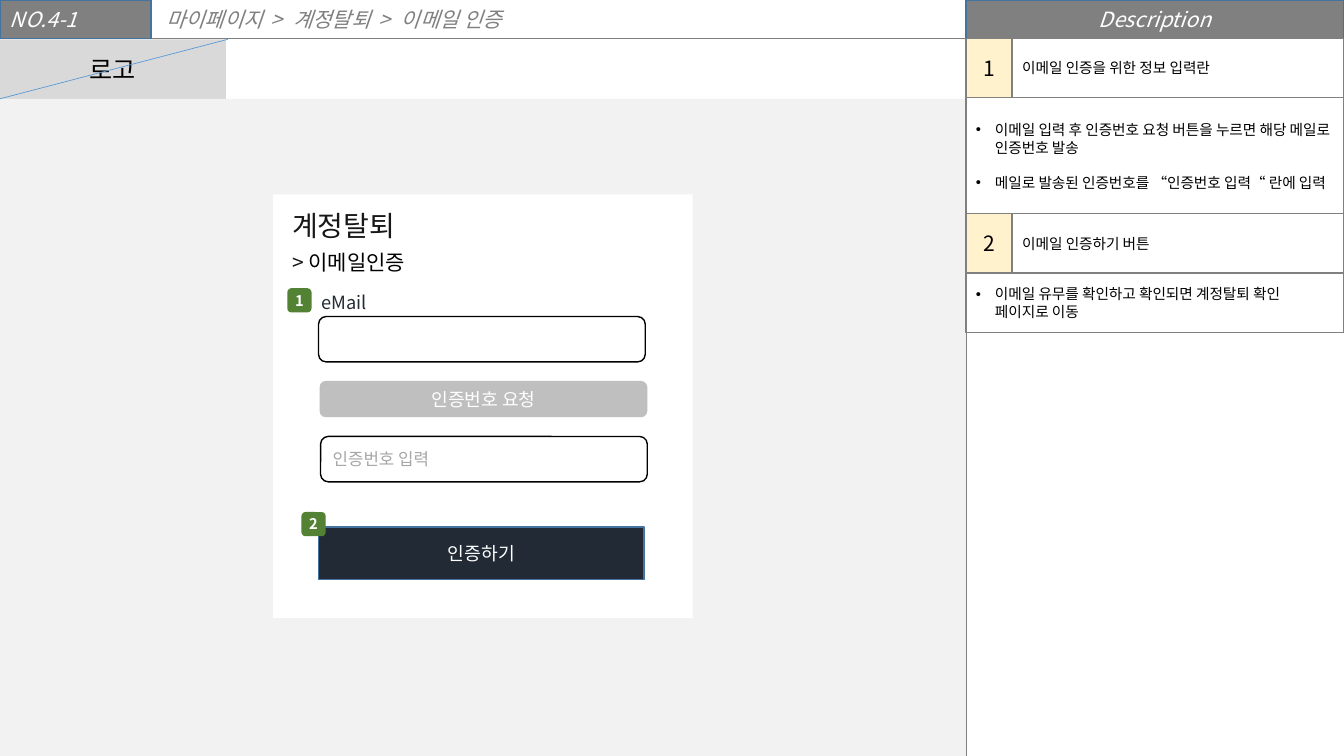
"""Build the wireframe slide for e-mail verification during account withdrawal."""
from lxml import etree
from pptx import Presentation
from pptx.dml.color import RGBColor
from pptx.enum.shapes import MSO_CONNECTOR, MSO_SHAPE
from pptx.enum.text import MSO_ANCHOR, MSO_AUTO_SIZE, PP_ALIGN
from pptx.oxml.ns import qn
from pptx.util import Inches, Pt

RECT, ROUND = MSO_SHAPE.RECTANGLE, MSO_SHAPE.ROUNDED_RECTANGLE
STRAIGHT = MSO_CONNECTOR.STRAIGHT
LEFT, CENTER = PP_ALIGN.LEFT, PP_ALIGN.CENTER
TOP, MIDDLE = MSO_ANCHOR.TOP, MSO_ANCHOR.MIDDLE
GROW = MSO_AUTO_SIZE.SHAPE_TO_FIT_TEXT
FONT = "Noto Sans CJK KR"
COLORS = {
    "white": "FFFFFF", "black": "000000", "ink": "181717", "navy": "222A35",
    "gray": "808080", "button": "BFBFBF", "hint": "A6A6A6", "logo": "D9D9D9",
    "canvas": "F2F2F2", "cream": "FFF2CC", "green": "548235",
    "edge": "43739E", "blue": "5B9BD5",
}
WIDTH, HEIGHT = 13.33, 7.5
BAR = 0.38
SIDE = 9.58
ROW = 0.59
NUMBER_WIDTH = 0.46

deck = Presentation()
deck.slide_width, deck.slide_height = Inches(WIDTH), Inches(HEIGHT)
page = deck.slides.add_slide(deck.slide_layouts[6])


def draw(kind, area, fill=None, line=None):
    """Add a shape, or a text box when kind is None."""
    place = [Inches(value) for value in area]
    if kind is None:
        return page.shapes.add_textbox(*place)
    shape = page.shapes.add_shape(kind, *place)
    shape.shadow.inherit = False
    if fill:
        shape.fill.solid()
        shape.fill.fore_color.rgb = RGBColor.from_string(COLORS[fill])
    else:
        shape.fill.background()
    if line:
        shape.line.color.rgb = RGBColor.from_string(COLORS[line])
        shape.line.width = Pt(1)
    else:
        shape.line.fill.background()
    return shape


def write(shape, paragraphs, align=LEFT, anchor=MIDDLE, wrap=True, **formats):
    """Fill a shape with paragraphs, each a list of (text, size, color) spans."""
    frame = shape.text_frame
    frame.word_wrap, frame.vertical_anchor = wrap, anchor
    for index, spans in enumerate(paragraphs):
        para = frame.paragraphs[0] if index == 0 else frame.add_paragraph()
        para.alignment = align
        for text, size, color in spans:
            span = para.add_run()
            span.text = text
            span.font.color.rgb = RGBColor.from_string(COLORS[color])
            for name, value in {"name": FONT, "size": Pt(size), **formats}.items():
                setattr(span.font, name, value)
            east = etree.SubElement(span.font._element, qn("a:ea"))
            east.set("typeface", FONT)
    return frame


for start_x, start_y, end_x, end_y, color in [
    (0, BAR, WIDTH, BAR, "gray"),
    (SIDE, 0, SIDE, HEIGHT, "gray"),
    (0, 0.98, 2.26, 0.39, "blue"),
]:
    if color == "blue":
        draw(RECT, (0, 0.39, SIDE, ROW), "white")
        logo = draw(RECT, (0, 0.39, 2.24, ROW), "logo")
        write(logo, [[("로고", 18, "black")]], CENTER)
        draw(RECT, (0, 0.98, SIDE, 6.52), "canvas")
    rule = page.shapes.add_connector(
        STRAIGHT, Inches(start_x), Inches(start_y), Inches(end_x), Inches(end_y))
    rule.line.color.rgb = RGBColor.from_string(COLORS[color])
    rule.line.width = Pt(0.5)
    etree.SubElement(rule._element.spPr, qn("a:effectLst"))

for area, text, align in [
    ((0, 0, 1.5, BAR), "NO.4-1", LEFT),
    ((SIDE, 0, WIDTH - SIDE, BAR), "Description", CENTER),
]:
    header = draw(RECT, area, "gray", "edge")
    write(header, [[(text, 15, "white")]], align, italic=True)

trail = draw(None, (1.55, 0.02, 4.1, 0.35))
steps = ["마이페이지", " > ", "계정탈퇴", " > ", "이메일 인증"]
frame = write(trail, [[(step, 15, "gray") for step in steps]], anchor=TOP, italic=True)
frame.auto_size = GROW
for separator in frame.paragraphs[0].runs[1::2]:
    separator.font._element.set("spc", "220")

draw(RECT, (2.71, 1.93, 4.16, 4.2), "white")
title = draw(None, (2.8, 1.92, 2.53, 0.87))
frame = write(title, [
    [("계정탈퇴", 20, "ink")],
    [("> ", 15, "ink"), ("이메일인증", 15, "black")],
], anchor=TOP)
frame.auto_size = GROW
for para in frame.paragraphs:
    para.line_spacing = 1.3

label = draw(None, (3.09, 2.84, 0.65, 0.32))
write(label, [[("eMail", 13, "navy")]], anchor=TOP, wrap=False).auto_size = GROW

draw(ROUND, (3.16, 3.14, 3.24, 0.45), None, "black")
for kind, area, fill, line, text, size, color, align in [
    (ROUND, (3.17, 3.78, 3.25, 0.36), "button", None, "인증번호 요청", 13, "white", CENTER),
    (ROUND, (3.18, 4.33, 3.24, 0.45), "white", "black", "인증번호 입력", 12, "hint", LEFT),
    (RECT, (3.16, 5.23, 3.23, 0.52), "navy", "edge", "인증하기", 13, "white", CENTER),
]:
    control = draw(kind, area, fill, line)
    write(control, [[(text, size, color)]], align)

for number, left, top in [("1", 2.85, 2.86), ("2", 2.99, 5.08)]:
    marker = draw(ROUND, (left, top, 0.24, 0.24), "green")
    frame = write(marker, [[(number, 10.5, "white")]], CENTER, bold=True)
    frame.margin_left = frame.margin_right = 0

for number, top, height, heading, notes in [
    ("1", BAR, 1.16, "이메일 인증을 위한 정보 입력란", [
        "이메일 입력 후 인증번호 요청 버튼을 누르면 해당 메일로 인증번호 발송",
        "메일로 발송된 인증번호를 “인증번호 입력“ 란에 입력",
    ]),
    ("2", 2.12, ROW, "이메일 인증하기 버튼", [
        "이메일 유무를 확인하고 확인되면 계정탈퇴 확인 페이지로 이동",
    ]),
]:
    split = SIDE + NUMBER_WIDTH
    name_box = draw(RECT, (split, top, WIDTH - split, ROW), "white", "gray")
    write(name_box, [[(heading, 10.5, "black")]])
    number_box = draw(RECT, (SIDE, top, NUMBER_WIDTH, ROW), "cream", "gray")
    write(number_box, [[(number, 15, "black")]], CENTER)
    detail = draw(RECT, (SIDE, top + ROW, WIDTH - SIDE, height), "white", "gray")
    frame = write(detail, [[(note, 10.5, "black")] for note in notes])
    for index, para in enumerate(frame.paragraphs):
        if index:
            para.space_before = Pt(12.6)
        layout = para._p.get_or_add_pPr()
        layout.set("marL", str(Inches(0.19)))
        layout.set("indent", str(-Inches(0.19)))
        etree.SubElement(layout, qn("a:buFont")).set("typeface", "Arial")
        etree.SubElement(layout, qn("a:buChar")).set("char", "•")

deck.save("out.pptx")
